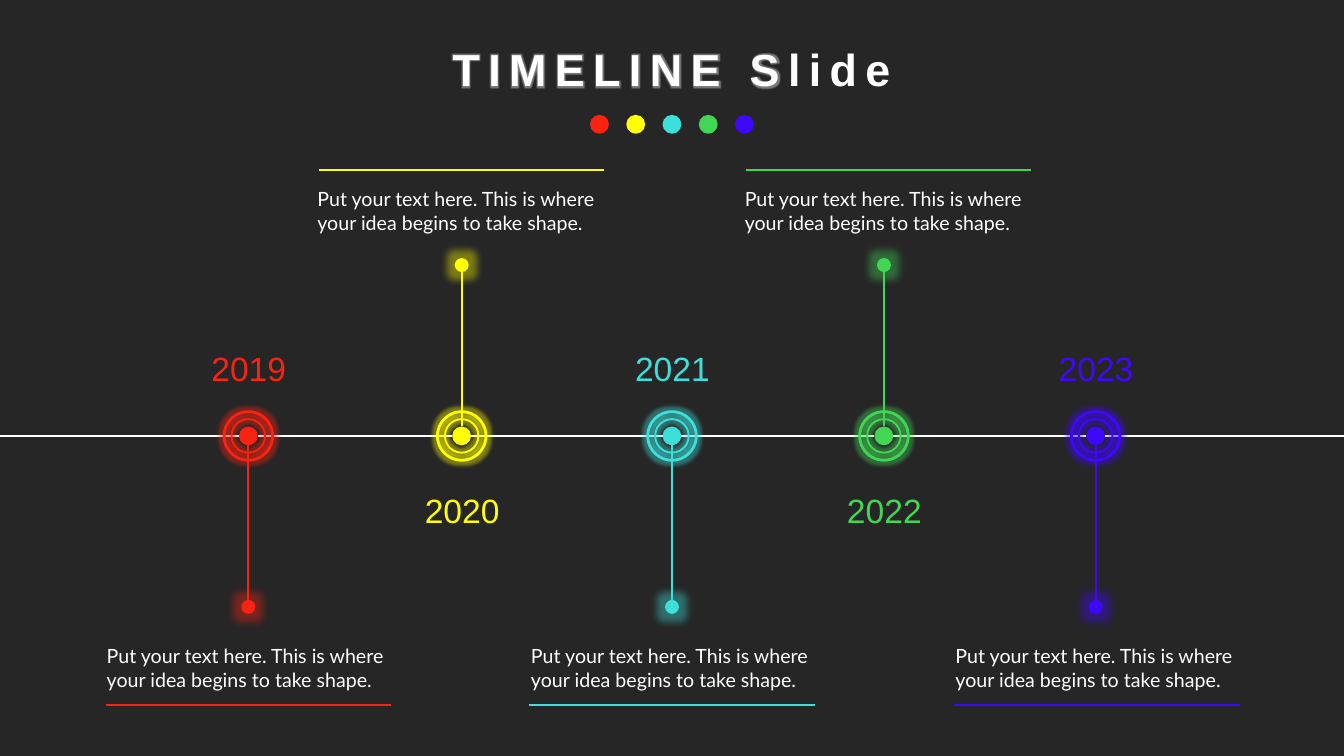
from lxml import etree
from pptx import Presentation
from pptx.dml.color import RGBColor
from pptx.enum.shapes import MSO_CONNECTOR, MSO_SHAPE as SHAPE
from pptx.enum.text import MSO_AUTO_SIZE as FIT, PP_ALIGN as ALIGN
from pptx.oxml import parse_xml
from pptx.oxml.ns import nsdecls, qn
from pptx.util import Pt

RED = RGBColor(0xFA, 0x23, 0x12)
YELLOW = RGBColor(0xFF, 0xFF, 0x00)
CYAN = RGBColor(0x3D, 0xDF, 0xDA)
GREEN = RGBColor(0x42, 0xD6, 0x55)
BLUE = RGBColor(0x3E, 0x08, 0xFD)
WHITE = RGBColor(0xFF, 0xFF, 0xFF)
DARK = RGBColor(0x26, 0x26, 0x26)

AXIS_Y = 311.4
DOT = 13.5       # diameter of the dots on the axis and under the title
END_DOT = 10     # diameter of the dot at the far end of a stem
STEM = 128.3     # from the axis to the middle of the end dot
NOTE = "Put your text here. This is where your idea begins to take shape."

# year, colour, centre x, left of rule, left of note, stem direction (1 is down)
STOPS = [
    ("2019", RED, 177.4, 75.4, 69.1, 1),
    ("2020", YELLOW, 329.8, 227.7, 219.6, -1),
    ("2021", CYAN, 480, 378.2, 372.2, 1),
    ("2022", GREEN, 631.4, 532.6, 524.9, -1),
    ("2023", BLUE, 782.6, 681.4, 675.4, 1),
]

prs = Presentation()
prs.slide_width, prs.slide_height = Pt(960), Pt(540)
s = prs.slides.add_slide(prs.slide_layouts[6])
s.background.fill.solid()
s.background.fill.fore_color.rgb = DARK


def glow(color, radius):
    return parse_xml(
        f'<a:effectLst {nsdecls("a")}><a:glow rad="{Pt(radius)}">'
        f'<a:srgbClr val="{color}"><a:alpha val="40000"/></a:srgbClr>'
        '</a:glow></a:effectLst>')


def add_text(text, left, top, width, height, font, size, color, align):
    tf = s.shapes.add_textbox(Pt(left), Pt(top), Pt(width), Pt(height)).text_frame
    tf.word_wrap = True
    tf.auto_size = FIT.SHAPE_TO_FIT_TEXT
    tf.text = text
    p = tf.paragraphs[0]
    p.alignment = align
    r = p.runs[0]
    r.font.name, r.font.size = font, Pt(size)
    r.font.color.rgb = color
    return r


# Title with wide letter spacing and a glow
r = add_text("TIMELINE Slide", 257, 25.9, 445.7, 46, "Arial", 32, WHITE, ALIGN.CENTER)
r.font.bold = True
rPr = r.font._element
rPr.set("spc", "600")
rPr.find(qn("a:solidFill")).addnext(glow(WHITE, 5))

# Lines: axis segments between the dots, then a stem and a rule for each stop
lines = []
x = 0
for year, color, cx, rule_x, note_x, way in STOPS:
    lines.append((x, AXIS_Y, cx - DOT / 2, AXIS_Y, WHITE))
    x = cx + DOT / 2
    lines.append((cx, AXIS_Y + way * DOT / 2,
                  cx, AXIS_Y + way * (STEM - END_DOT / 2), color))
    rule_y = 503.8 if way > 0 else 121.7
    lines.append((rule_x, rule_y, rule_x + 204, rule_y, color))
lines.append((x, AXIS_Y, 960, AXIS_Y, WHITE))

for x1, y1, x2, y2, color in lines:
    line = s.shapes.add_connector(MSO_CONNECTOR.STRAIGHT, Pt(x1), Pt(y1), Pt(x2), Pt(y2))
    line.line.color.rgb = color
    line.line.width = Pt(1.5)
    etree.SubElement(line._element.spPr, qn("a:effectLst"))

# Round shapes: dot under the title, axis dot, two rings, end dot
for i, (year, color, cx, rule_x, note_x, way) in enumerate(STOPS):
    rounds = [
        (SHAPE.OVAL, 480 + 25.9 * (i - 2), 88.8, DOT, 0),
        (SHAPE.OVAL, cx, AXIS_Y, DOT, 0),
        (SHAPE.DONUT, cx, AXIS_Y, 25.4, 5),
        (SHAPE.DONUT, cx, AXIS_Y, 36.7, 5),
        (SHAPE.OVAL, cx, AXIS_Y + way * (STEM - 6.4), END_DOT, 11),
    ]
    for kind, mid_x, mid_y, size, radius in rounds:
        if size == END_DOT:
            mid_y = AXIS_Y + way * (STEM - 6.4 + 0.2)
        sp = s.shapes.add_shape(kind, Pt(mid_x - size / 2), Pt(mid_y - size / 2),
                                Pt(size), Pt(size))
        sp.shadow.inherit = False
        sp.fill.solid()
        sp.fill.fore_color.rgb = color
        sp.line.fill.background()
        if kind == SHAPE.DONUT:
            sp.adjustments[0] = 0.055
        if radius:
            spPr = sp._element.spPr
            spPr.replace(spPr.find(qn("a:effectLst")), glow(color, radius))

# Years and notes
for year, color, cx, rule_x, note_x, way in STOPS:
    year_y, note_y = (245, 456.5) if way > 0 else (346.3, 130.3)
    add_text(year, cx - 58, year_y, 116.6, 36, "Arial", 24, color, ALIGN.CENTER)
    add_text(NOTE, note_x, note_y, 215.3, 41, "Lato", 14, WHITE, ALIGN.LEFT)

prs.save("out.pptx")
